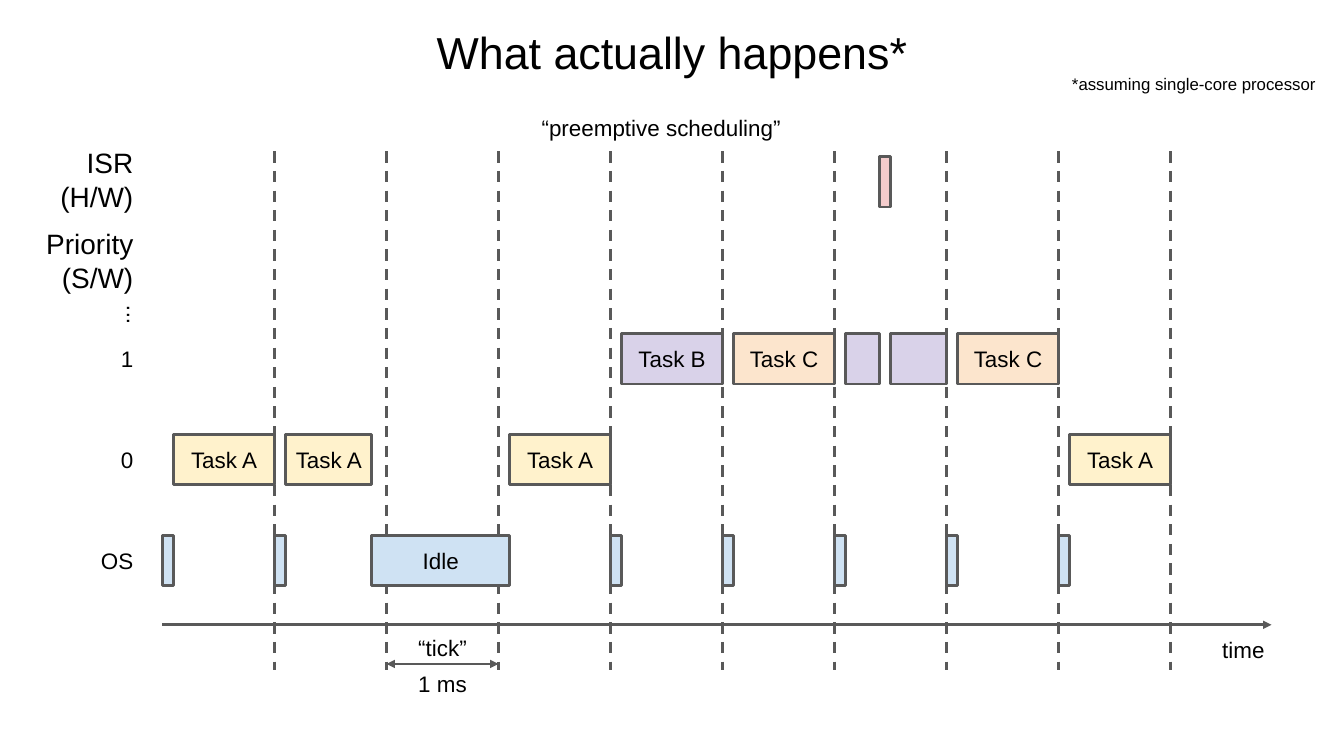
from lxml import etree
from pptx import Presentation
from pptx import util as u
from pptx.dml.color import RGBColor
from pptx.enum import dml, shapes, text
from pptx.oxml import ns

BLACK = RGBColor(0x00, 0x00, 0x00)
GREY = RGBColor(0x59, 0x59, 0x59)
YELLOW = RGBColor(0xFF, 0xF2, 0xCC)
BLUE = RGBColor(0xCF, 0xE2, 0xF3)
PURPLE = RGBColor(0xD9, 0xD2, 0xE9)
ORANGE = RGBColor(0xFC, 0xE5, 0xCD)
PINK = RGBColor(0xF4, 0xCC, 0xCC)

RIGHT, CENTER = text.PP_ALIGN.RIGHT, text.PP_ALIGN.CENTER

START, TICK, BAR = 6.14, 127 / 30, 1.9
ROWS = {"ISR": 5.93, "1": 12.62, "0": 16.43, "OS": 20.24}
GRID_TOP, GRID_BOTTOM, AXIS, SPAN = 5.72, 25.32, 23.62, 25.1


def at_tick(tick):
    return START + tick * TICK


class Timeline:
    """Draws the parts of a scheduling timeline on one slide in a shared style."""

    frame_format = {
        "word_wrap": True,
        "vertical_anchor": text.MSO_ANCHOR.MIDDLE,
        "margin_left": u.Cm(0.25),
        "margin_right": u.Cm(0.25),
        "margin_top": u.Cm(0.25),
        "margin_bottom": u.Cm(0.25),
    }
    font_format = {"name": "Arial"}
    stroke = u.Pt(3)

    def __init__(self, slide):
        self.slide = slide

    def fill_text(self, frame, wording, size, align):
        for name, value in self.frame_format.items():
            setattr(frame, name, value)
        frame.text = wording
        for paragraph in frame.paragraphs:
            paragraph.alignment = align
            font = paragraph.runs[0].font
            for name, value in {**self.font_format, "size": u.Pt(size)}.items():
                setattr(font, name, value)
            font.color.rgb = BLACK

    def label(self, wording, left, top, width, height, size=24, align=CENTER, rotation=0):
        box = self.slide.shapes.add_textbox(*map(u.Cm, (left, top, width, height)))
        box.rotation = rotation
        self.fill_text(box.text_frame, wording, size, align)

    def bar(self, row, begin, end, fill, wording=""):
        block = self.slide.shapes.add_shape(
            shapes.MSO_SHAPE.RECTANGLE,
            *map(u.Cm, (at_tick(begin), ROWS[row], (end - begin) * TICK, BAR)))
        block.shadow.inherit = False
        block.fill.solid()
        block.fill.fore_color.rgb = fill
        block.line.color.rgb = GREY
        block.line.width = self.stroke
        if wording:
            self.fill_text(block.text_frame, wording, 24, CENTER)

    def line(self, x1, y1, x2, y2, dash=None, arrows=()):
        rule = self.slide.shapes.add_connector(
            shapes.MSO_CONNECTOR.STRAIGHT, *map(u.Cm, (x1, y1, x2, y2)))
        rule.line.color.rgb = GREY
        rule.line.width = self.stroke
        rule.line.dash_style = dash
        properties = rule._element.spPr
        outline = properties.find(ns.qn("a:ln"))
        for end in arrows:
            etree.SubElement(outline, ns.qn(f"a:{end}"), type="triangle")
        etree.SubElement(properties, ns.qn("a:effectLst"))


def main():
    deck = Presentation()
    deck.slide_width, deck.slide_height = u.Cm(50.8), u.Cm(28.58)
    timeline = Timeline(deck.slides.add_slide(deck.slide_layouts[6]))

    timeline.line(START, AXIS, 48.06, AXIS, arrows=["tailEnd"])
    for tick in range(1, 10):
        x = at_tick(tick)
        timeline.line(x, GRID_TOP, x, GRID_BOTTOM, dash=dml.MSO_LINE.DASH)
    timeline.line(at_tick(2), SPAN, at_tick(3), SPAN, arrows=["headEnd", "tailEnd"])

    for tick in (0, 1, 4, 5, 6, 7, 8):
        timeline.bar("OS", tick, tick + 0.1, BLUE)
    for row, begin, end, fill, wording in [
        ("0", 0.1, 1, YELLOW, "Task A"),
        ("0", 1.1, 1.87, YELLOW, "Task A"),
        ("OS", 1.87, 3.1, BLUE, "Idle"),
        ("0", 3.1, 4, YELLOW, "Task A"),
        ("1", 4.1, 5, PURPLE, "Task B"),
        ("1", 5.1, 6, ORANGE, "Task C"),
        ("1", 6.1, 6.4, PURPLE, ""),
        ("ISR", 6.4, 6.5, PINK, ""),
        ("1", 6.5, 7, PURPLE, ""),
        ("1", 7.1, 8, ORANGE, "Task C"),
        ("0", 8.1, 9, YELLOW, "Task A"),
    ]:
        timeline.bar(row, begin, end, fill, wording)

    for row in ("1", "0", "OS"):
        timeline.label(row, 2.54, ROWS[row] - 0.22, 2.75, 2.34, align=RIGHT)
    timeline.label("ISR\n(H/W)", 1.27, 5.29, 4.02, 2.96, size=30, align=RIGHT)
    timeline.label("Priority (S/W)", 1.27, 8.47, 4.02, 2.75, size=30, align=RIGHT)
    timeline.label("...", 3.33, 10.74, 2.44, 2.34, rotation=270)

    timeline.label("What actually happens*", 0, 0, 50.8, 3.91, size=48)
    timeline.label("*assuming single-core processor", 39.45, 2.44, 11.35, 1.47, size=18)
    timeline.label("“preemptive scheduling”", 18.84, 4.19, 12.3, 1.27)
    timeline.label("“tick”", 15.01, 23.83, 3.43, 1.27)
    timeline.label("1 ms", at_tick(2), SPAN, TICK, 1.48)
    timeline.label("time", 44.88, 23.83, TICK, 1.48)
    deck.save("out.pptx")


if __name__ == "__main__":
    main()
